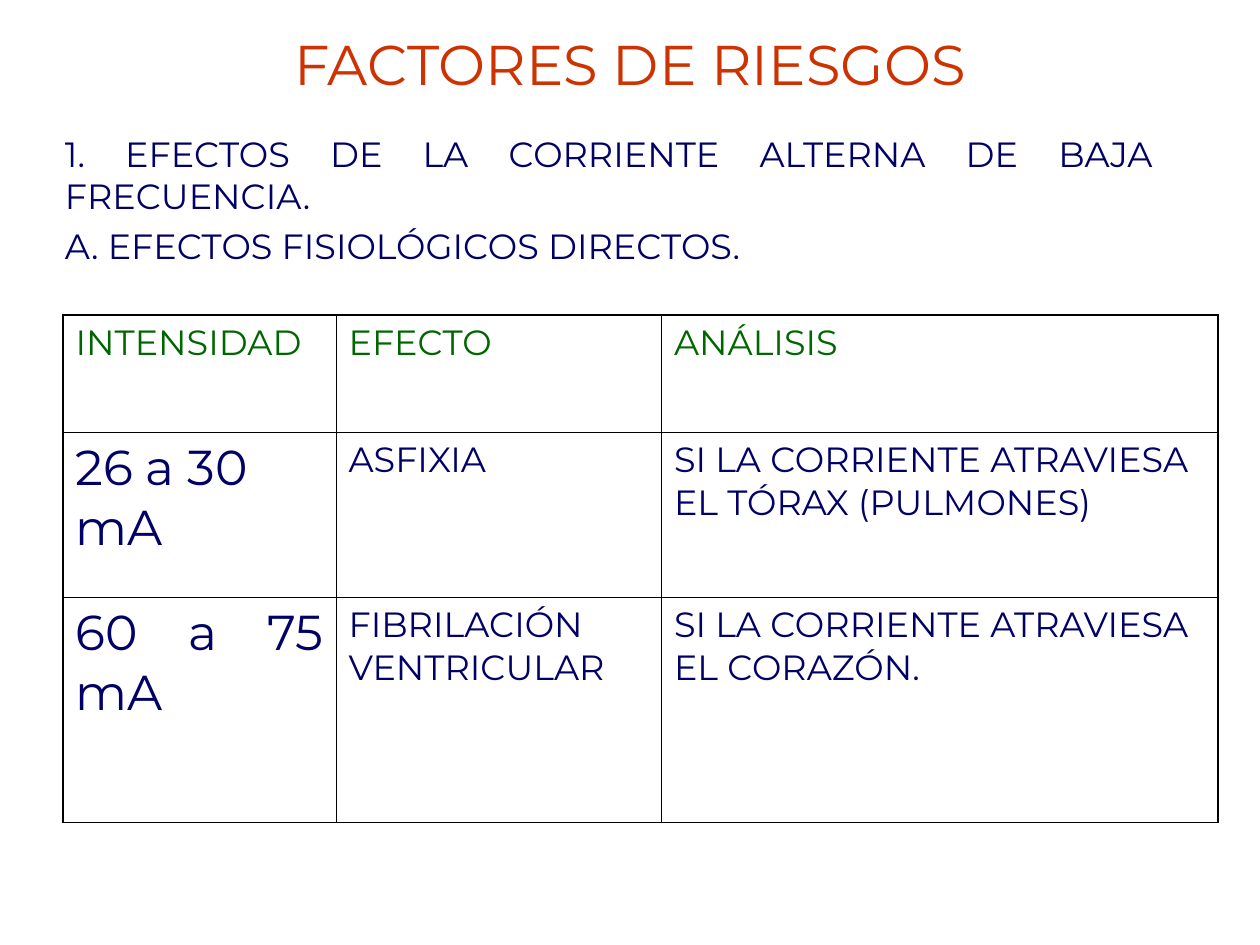
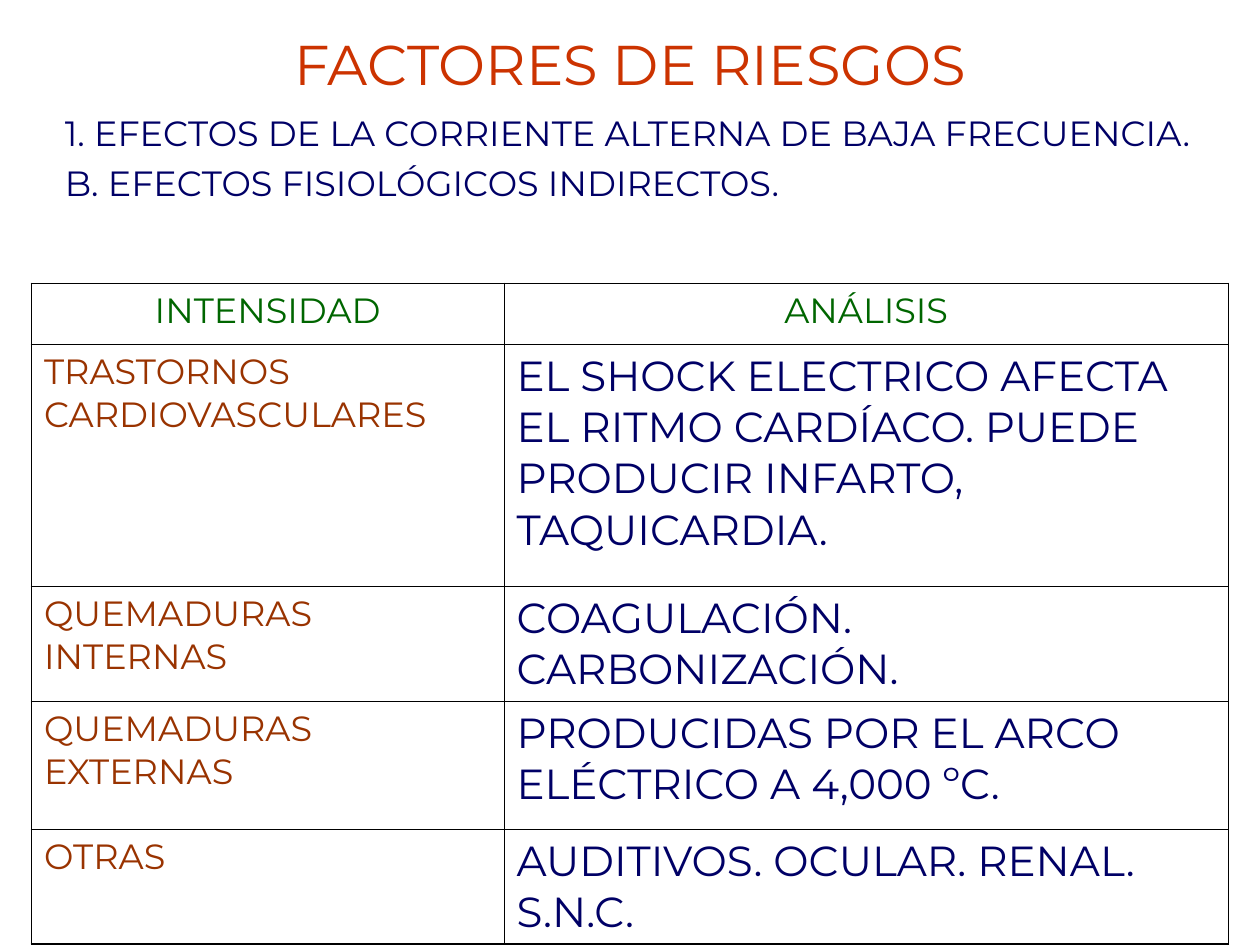
from dataclasses import dataclass

import pptx
import pptx.dml.color
import pptx.enum.text
import pptx.oxml
import pptx.oxml.ns
import pptx.util

Pt = pptx.util.Pt
ALIGN = pptx.enum.text.PP_ALIGN
ANCHOR = pptx.enum.text.MSO_ANCHOR

FONT = "Montserrat"
TITLE = "FACTORES DE RIESGOS"
TOPIC = "1. EFECTOS DE LA CORRIENTE ALTERNA DE BAJA FRECUENCIA."
RED, NAVY, GREEN, BROWN, BLACK = "CC3300", "000066", "006600", "993300", "000000"
INNER_LINE, OUTER_LINE = 0.45, 1.08


@dataclass(frozen=True)
class Style:
    size: float
    color: str
    align: ALIGN = ALIGN.LEFT


@dataclass(frozen=True)
class Box:
    left: float
    top: float
    width: float
    height: float


@dataclass(frozen=True)
class Cell:
    text: str
    style: Style


@dataclass(frozen=True)
class RiskSlide:
    subtitle: str
    subtitle_box: Box
    table_left: float
    table_top: float
    column_widths: list[float]
    row_heights: list[float]
    rows: list[list[Cell]]


TITLE_STYLE = Style(32, RED, ALIGN.CENTER)
BODY = Style(20, NAVY)
BODY_JUSTIFIED = Style(20, NAVY, ALIGN.JUSTIFY)
HEADING = Style(20, GREEN)
HEADING_CENTERED = Style(20, GREEN, ALIGN.CENTER)
CURRENT = Style(28, NAVY)
CURRENT_JUSTIFIED = Style(28, NAVY, ALIGN.JUSTIFY)
DISORDER = Style(20, BROWN)
ANALYSIS = Style(24, NAVY)

DIRECT_EFFECTS = RiskSlide(
    subtitle="A. EFECTOS FISIOLÓGICOS DIRECTOS.",
    subtitle_box=Box(30, 72, 636, 450),
    table_left=36,
    table_top=180,
    column_widths=[156, 186, 318],
    row_heights=[67, 94.3, 128.7],
    rows=[
        [Cell("INTENSIDAD", HEADING), Cell("EFECTO", HEADING), Cell("ANÁLISIS", HEADING)],
        [
            Cell("26 a 30 mA", CURRENT),
            Cell("ASFIXIA", BODY_JUSTIFIED),
            Cell("SI LA CORRIENTE ATRAVIESA EL TÓRAX (PULMONES)", BODY),
        ],
        [
            Cell("60 a 75 mA", CURRENT_JUSTIFIED),
            Cell("FIBRILACIÓN VENTRICULAR", BODY_JUSTIFIED),
            Cell("SI LA CORRIENTE ATRAVIESA EL CORAZÓN.", BODY),
        ],
    ],
)

DISORDERS = [
    (
        "TRASTORNOS CARDIOVASCULARES",
        "EL SHOCK ELECTRICO AFECTA EL RITMO CARDÍACO. PUEDE PRODUCIR INFARTO, TAQUICARDIA.",
    ),
    ("QUEMADURAS INTERNAS", "COAGULACIÓN. CARBONIZACIÓN."),
    ("QUEMADURAS EXTERNAS", "PRODUCIDAS POR EL ARCO ELÉCTRICO A 4,000 ºC."),
    ("OTRAS", "AUDITIVOS. OCULAR. RENAL. S.N.C."),
]

INDIRECT_EFFECTS = RiskSlide(
    subtitle="B. EFECTOS FISIOLÓGICOS INDIRECTOS.",
    subtitle_box=Box(30, 60, 690, 450),
    table_left=18,
    table_top=162,
    column_widths=[270, 414],
    row_heights=[34.8, 138.2, 65.8, 73, 65.8],
    rows=[
        [Cell("INTENSIDAD", HEADING_CENTERED), Cell("ANÁLISIS", HEADING_CENTERED)],
        *([Cell(disorder, DISORDER), Cell(analysis, ANALYSIS)] for disorder, analysis in DISORDERS),
    ],
)


def rgb(color: str) -> pptx.dml.color.RGBColor:
    return pptx.dml.color.RGBColor.from_string(color)


def write_paragraphs(text_frame, texts: list[str], style: Style) -> None:
    for index, text in enumerate(texts):
        paragraph = text_frame.add_paragraph() if index else text_frame.paragraphs[0]
        paragraph.text = text
        paragraph.alignment = style.align
        if index:
            paragraph.space_before = Pt(5)
        paragraph.font.name = FONT
        paragraph.font.size = Pt(style.size)
        paragraph.font.color.rgb = rgb(style.color)


def add_text(slide, box: Box, texts: list[str], style: Style, anchor=ANCHOR.TOP) -> None:
    shape = slide.shapes.add_textbox(Pt(box.left), Pt(box.top), Pt(box.width), Pt(box.height))
    shape.text_frame.word_wrap = True
    shape.text_frame.vertical_anchor = anchor
    write_paragraphs(shape.text_frame, texts, style)


def add_borders(cell, outer_sides: dict[str, bool]) -> None:
    """Draw the four borders, heavier on the sides that lie on the table's edge."""
    properties = cell._tc.get_or_add_tcPr()
    for side, is_outer in outer_sides.items():
        width = Pt(OUTER_LINE if is_outer else INNER_LINE)
        properties.append(pptx.oxml.parse_xml(
            f'<a:ln{side} {pptx.oxml.ns.nsdecls("a")} w="{int(width)}">'
            f'<a:solidFill><a:srgbClr val="{BLACK}"/></a:solidFill></a:ln{side}>'
        ))


def add_effects_table(slide, content: RiskSlide) -> None:
    widths, heights = content.column_widths, content.row_heights
    table = slide.shapes.add_table(
        len(heights), len(widths), Pt(content.table_left), Pt(content.table_top),
        Pt(sum(widths)), Pt(sum(heights)),
    ).table
    table.first_row = False
    table.horz_banding = False
    for column, width in zip(table.columns, widths):
        column.width = Pt(width)
    for row, height in zip(table.rows, heights):
        row.height = Pt(height)

    for row_index, row_cells in enumerate(content.rows):
        for column_index, source in enumerate(row_cells):
            cell = table.cell(row_index, column_index)
            write_paragraphs(cell.text_frame, [source.text], source.style)
            add_borders(cell, {
                "L": column_index == 0,
                "R": column_index == len(widths) - 1,
                "T": row_index == 0,
                "B": row_index == len(heights) - 1,
            })
            cell.fill.background()


def add_risk_slide(presentation, content: RiskSlide) -> None:
    slide = presentation.slides.add_slide(presentation.slide_layouts[6])
    add_text(slide, Box(54, 18, 612, 36), [TITLE], TITLE_STYLE, ANCHOR.MIDDLE)
    add_text(slide, content.subtitle_box, [TOPIC, content.subtitle], BODY_JUSTIFIED)
    add_effects_table(slide, content)


def main() -> None:
    presentation = pptx.Presentation()
    presentation.slide_width = Pt(720)
    presentation.slide_height = Pt(540)
    for content in (DIRECT_EFFECTS, INDIRECT_EFFECTS):
        add_risk_slide(presentation, content)
    presentation.save("out.pptx")


if __name__ == "__main__":
    main()
